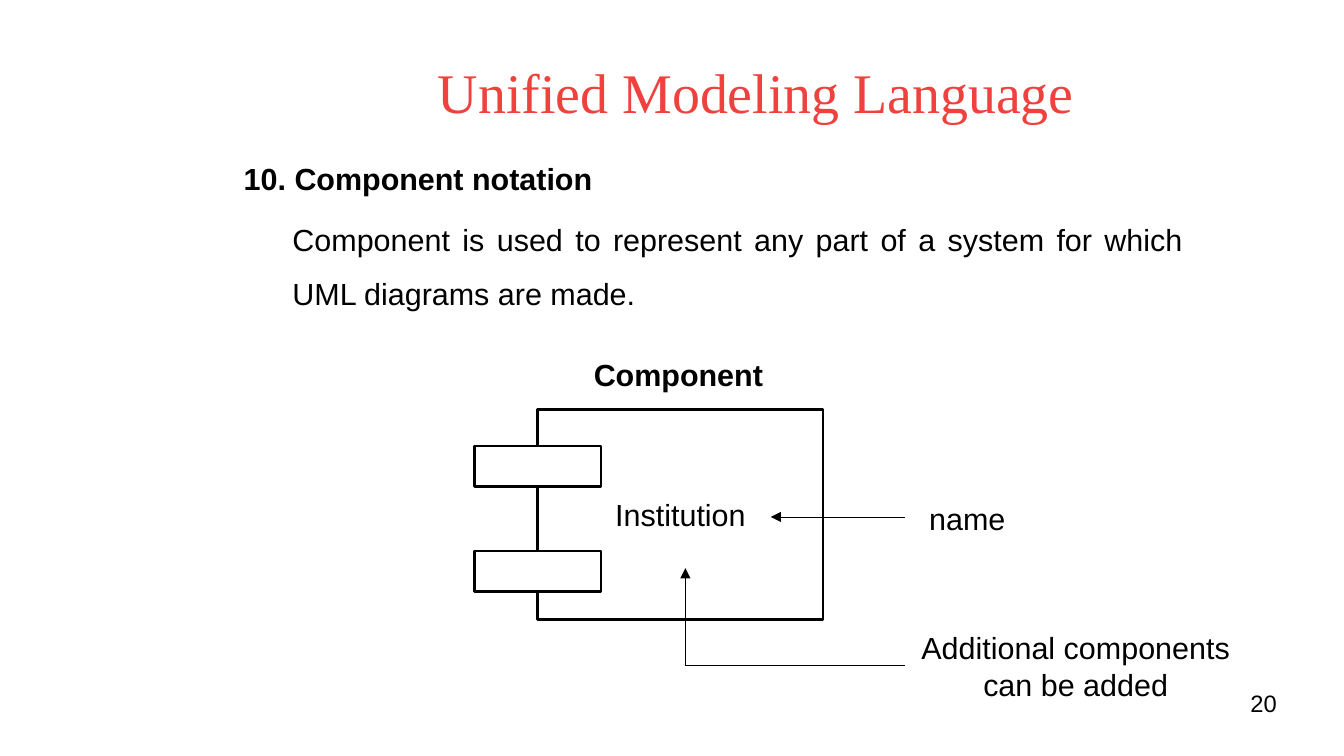
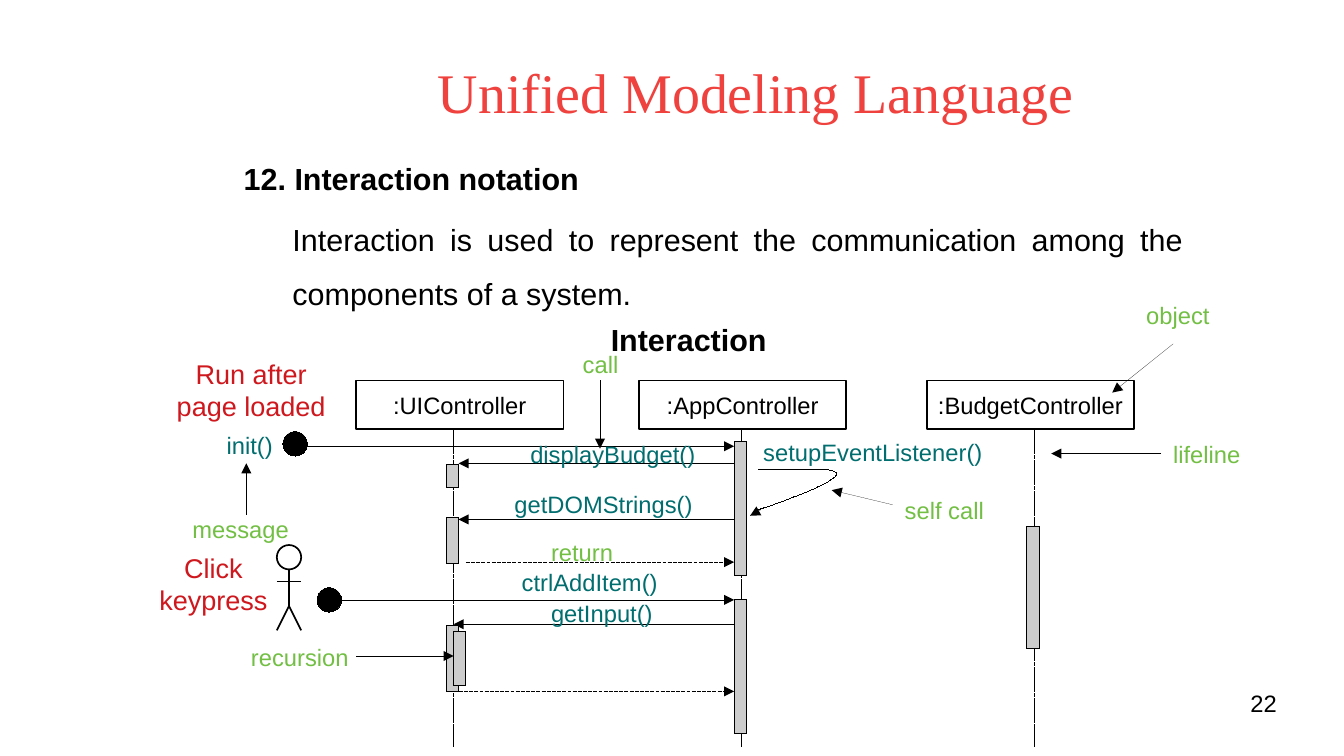
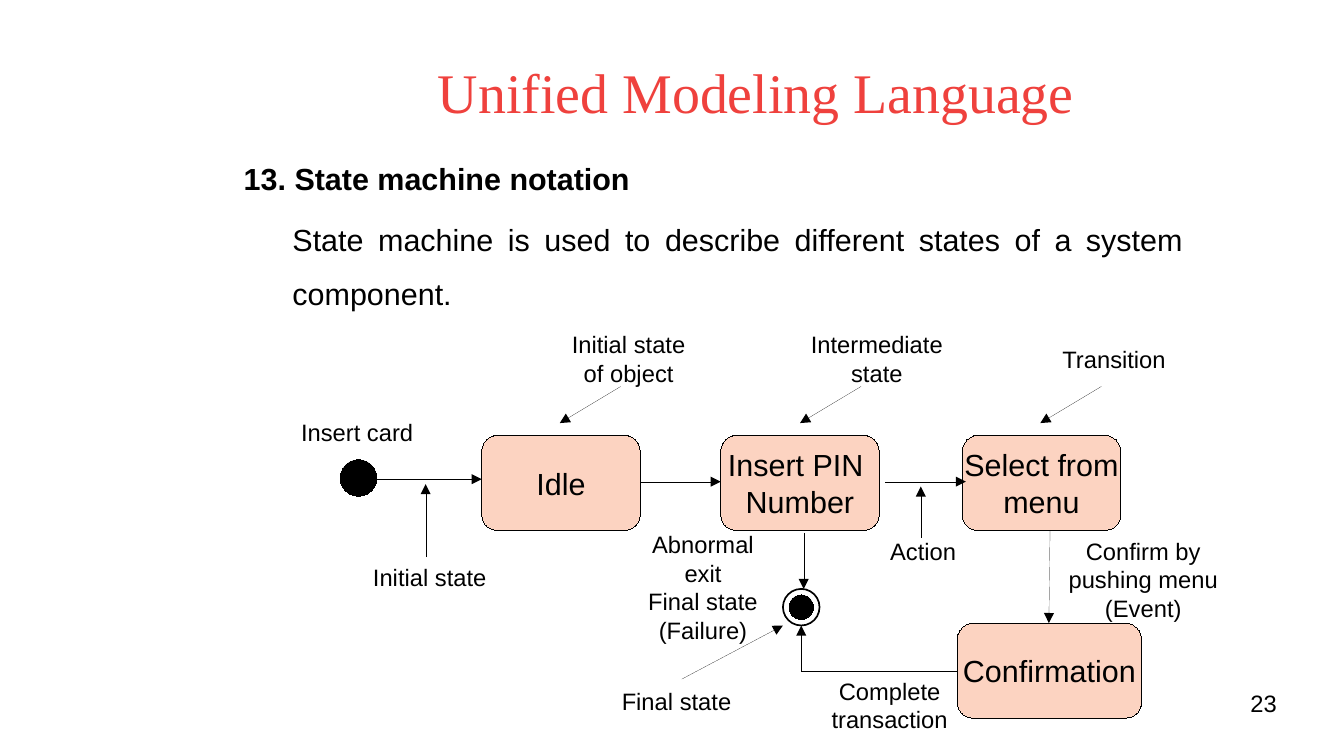
from dataclasses import dataclass

from lxml import etree
from pptx import Presentation
from pptx.dml.color import RGBColor
from pptx.enum.dml import MSO_LINE
from pptx.enum.shapes import MSO_CONNECTOR, MSO_SHAPE
from pptx.enum.text import MSO_ANCHOR, PP_ALIGN
from pptx.oxml.ns import qn
from pptx.util import Emu, Pt

# Shared constants
LEFT, CENTER = PP_ALIGN.LEFT, PP_ALIGN.CENTER
RIGHT, JUSTIFY = PP_ALIGN.RIGHT, PP_ALIGN.JUSTIFY
MIDDLE, TOP = MSO_ANCHOR.MIDDLE, MSO_ANCHOR.TOP
RECT, ELLIPSE, ROUNDED = MSO_SHAPE.RECTANGLE, MSO_SHAPE.OVAL, MSO_SHAPE.ROUNDED_RECTANGLE
STRAIGHT, ELBOW = MSO_CONNECTOR.STRAIGHT, MSO_CONNECTOR.ELBOW
DASH = MSO_LINE.SQUARE_DOT

BLACK, WHITE, GREY = "000000", "FFFFFF", "CCCCCC"
TITLE_RED, EVENT_RED = "EF413D", "CE181E"
GREEN, TEAL, PEACH = "72BF44", "006D6F", "FCD3C1"
BODY_FONT, TITLE_FONT = "Arial", "Times New Roman"
TITLE_ONLY = 5
EMU_PER_PX = 9144


@dataclass
class Label:
    text: str
    left: int
    top: int
    width: int
    height: int = 32
    size: int = 14
    color: str = BLACK
    align: int = LEFT
    bold: bool = False
    spacing: float = 1.0
    margins: tuple = (10, 5)


@dataclass
class Node:
    kind: int
    left: int
    top: int
    width: int
    height: int
    fill: str = WHITE
    line_width: float = 0
    text: str = ""
    size: int = 18


@dataclass
class Line:
    start: tuple
    end: tuple
    arrow: bool = True
    dashed: bool = False
    width: float = 0


def px(value: float) -> Emu:
    return Emu(round(value * EMU_PER_PX))


def rgb(value: str) -> RGBColor:
    return RGBColor.from_string(value)


# Drawing functions
def write_text(frame, text: str, size: int, color: str = BLACK, align=CENTER,
               font: str = BODY_FONT, bold: bool = False, spacing: float = 1.0,
               margins: tuple = (10, 5), anchor=MIDDLE, wrap: bool = True) -> None:
    frame.word_wrap = wrap
    frame.vertical_anchor = anchor
    frame.margin_left = frame.margin_right = px(margins[0])
    frame.margin_top = frame.margin_bottom = px(margins[1])
    frame.text = text
    for para in frame.paragraphs:
        para.alignment = align
        para.line_spacing = spacing
        para.font.name = font
        para.font.size = Pt(size)
        para.font.bold = bold
        para.font.color.rgb = rgb(color)


def set_outline(shape, width: float, dashed: bool = False, arrow: bool = False) -> None:
    shape.line.color.rgb = rgb(BLACK)
    if dashed:
        shape.line.dash_style = DASH
    outline = shape.element.spPr.find(qn("a:ln"))
    # A zero width (hairline) must be written out to override the theme.
    outline.set("w", str(int(Pt(width))))
    if arrow:
        etree.SubElement(outline, qn("a:tailEnd")).set("type", "triangle")


def add_label(page, label: Label) -> None:
    box = page.shapes.add_textbox(px(label.left), px(label.top),
                                  px(label.width), px(label.height))
    write_text(box.text_frame, label.text, label.size, label.color, label.align,
               bold=label.bold, spacing=label.spacing, margins=label.margins, anchor=TOP)


def add_node(page, node: Node) -> None:
    shape = page.shapes.add_shape(node.kind, px(node.left), px(node.top),
                                  px(node.width), px(node.height))
    shape.shadow.inherit = False
    shape.fill.solid()
    shape.fill.fore_color.rgb = rgb(node.fill)
    set_outline(shape, node.line_width)
    if node.text:
        write_text(shape.text_frame, node.text, node.size, wrap=False)


def add_line(page, line: Line, kind=STRAIGHT):
    connector = page.shapes.add_connector(kind, *map(px, line.start + line.end))
    set_outline(connector, line.width, line.dashed, line.arrow)
    etree.SubElement(connector.element.spPr, qn("a:effectLst"))
    return connector


def add_corner_arrow(page, start: tuple, end: tuple) -> None:
    """Run left from start, then up to end."""
    connector = add_line(page, Line(end, start), ELBOW)
    properties = connector.element.spPr
    properties.find(qn("a:xfrm")).set("rot", "10800000")
    properties.find(qn("a:prstGeom")).set("prst", "bentConnector2")


def add_curve(page, start: tuple, bend: tuple, controls: tuple, end: tuple) -> None:
    """Draw a straight run to bend, then a cubic curve to end."""
    steps = 24
    points = [bend]
    for step in range(1, steps + 1):
        t = step / steps
        weights = ((1 - t) ** 3, 3 * t * (1 - t) ** 2, 3 * t * t * (1 - t), t ** 3)
        corners = (bend, *controls, end)
        points.append(tuple(sum(w * corner[axis] for w, corner in zip(weights, corners))
                            for axis in (0, 1)))
    builder = page.shapes.build_freeform(px(start[0]), px(start[1]))
    builder.add_line_segments([(px(x), px(y)) for x, y in points], close=False)
    curve = builder.convert_to_shape()
    curve.shadow.inherit = False
    curve.fill.background()
    set_outline(curve, 0)


def draw_all(page, *items) -> None:
    painters = {Label: add_label, Node: add_node, Line: add_line}
    for item in items:
        painters[type(item)](page, item)


def start_page(deck, heading: str, description: str, number: int):
    page = deck.slides.add_slide(deck.slide_layouts[TITLE_ONLY])
    title = page.shapes.title
    title.left, title.top, title.width, title.height = map(px, (177, 24, 886, 102))
    write_text(title.text_frame, "Unified Modeling Language", 33, TITLE_RED,
               font=TITLE_FONT, margins=(0, 0))
    draw_all(
        page,
        Label(heading, 190, 126, 720, 66, 18, bold=True),
        Label(description, 230, 161, 750, 122, 18, align=JUSTIFY, spacing=1.5),
        Label(str(number), 790, 565, 257, 43, align=RIGHT, margins=(0, 0)),
    )
    return page


# Slides
def build_component(deck) -> None:
    page = start_page(
        deck, "10. Component notation",
        "Component is used to represent any part of a system for which "
        "UML diagrams are made.", 20)
    draw_all(
        page,
        Label("Component", 477, 287, 199, 66, 18, bold=True),
        Node(RECT, 441, 336, 234, 172, line_width=1.5, text="Institution"),
        *(Node(RECT, 389, top, 104, 33, line_width=1.5) for top in (366, 452)),
        Line((742, 424), (632, 424)),
        Label("name", 752, 405, 140, 38, 18),
        Line((562, 546), (562, 466)),
        Line((562, 546), (742, 546), arrow=False),
        Label("Additional components can be added", 742, 511, 280, 122, 18, align=CENTER),
    )


def build_interaction(deck) -> None:
    page = start_page(
        deck, "12. Interaction notation",
        "Interaction is used to represent the communication among the "
        "components of a system.", 22)
    add_label(page, Label("Interaction", 491, 258, 199, 66, 18, bold=True))

    # Objects and lifelines
    for name, left, axis in ((":UIController", 292, 372), (":AppController", 524, 608),
                             (":BudgetController", 760, 848)):
        draw_all(page, Node(RECT, left, 312, 170, 40, line_width=1, text=name, size=14),
                 Line((axis, 352), (axis, 612), arrow=False, dashed=True))

    # Messages: start x, end x, y, dashed
    for start, end, y, dashed in (
            (242, 602, 366, False), (602, 376, 380, False), (602, 376, 426, False),
            (382, 602, 461, True), (270, 602, 492, False), (602, 372, 512, False),
            (372, 602, 567, True)):
        add_line(page, Line((start, y), (end, y), dashed=dashed))

    # Activation bars
    for left, top, height in ((366, 381, 19), (366, 424, 38), (602, 362, 110),
                              (602, 492, 110), (842, 432, 100), (366, 513, 54),
                              (372, 518, 44)):
        add_node(page, Node(RECT, left, top, 10, height, GREY))

    # Self call
    add_curve(page, (622, 385), (672, 385), ((722, 385), (622, 418)), (622, 418))
    add_line(page, Line((624, 418), (615, 423)))

    # Explanatory arrows
    for start, end in (((962, 282), (912, 322)), ((202, 422), (202, 380)),
                       ((492, 312), (492, 368)), ((952, 372), (862, 372)),
                       ((732, 414), (682, 402)), ((292, 538), (372, 538))):
        add_line(page, Line(start, end))

    # Message names and explanations
    for color, labels in (
            (TEAL, (("init()", 176, 348, 80), ("setupEventListener()", 616, 354, 250),
                    ("displayBudget()", 425, 356, 190), ("getDOMStrings()", 412, 397, 190),
                    ("ctrlAddItem()", 418, 461, 190), ("getInput()", 442, 486, 190))),
            (GREEN, (("object", 930, 242, 120), ("call", 468, 282, 60),
                     ("message", 148, 417, 110), ("lifeline", 952, 356, 120),
                     ("return", 442, 436, 120), ("self call", 732, 402, 120),
                     ("recursion", 196, 522, 110)))):
        for text, left, top, width in labels:
            add_label(page, Label(text, left, top, width, color=color))

    # Events and actor
    draw_all(
        page,
        Label("Run after page loaded", 126, 288, 160, 74, 16, EVENT_RED, CENTER),
        Label("Click keypress", 110, 447, 130, 59, 16, EVENT_RED, CENTER),
        Node(ELLIPSE, 232, 354, 20, 20, BLACK),
        Node(ELLIPSE, 260, 482, 20, 20, BLACK),
        Node(ELLIPSE, 227, 447, 20, 20, line_width=1),
    )
    for start, end in (((237, 467), (237, 497)), ((237, 497), (227, 517)),
                       ((237, 497), (247, 517)), ((227, 477), (247, 477))):
        add_line(page, Line(start, end, arrow=False, width=1))


def build_state_machine(deck) -> None:
    page = start_page(
        deck, "13. State machine notation",
        "State machine is used to describe different states of a system component.", 23)

    # States, with the start and end markers
    for text, left, top, width in (
            ("Idle", 395, 357, 130), ("Insert PIN \nNumber", 591, 357, 130),
            ("Select from\nmenu", 789, 357, 130), ("Confirmation", 785, 511, 151)):
        add_node(page, Node(ROUNDED, left, top, width, 78, PEACH, text=text))
    draw_all(page, Node(ELLIPSE, 279, 377, 30, 30, BLACK),
             Node(ELLIPSE, 642, 483, 30, 30, line_width=1),
             Node(ELLIPSE, 647, 488, 20, 20, BLACK))

    # Transitions and pointers
    for start, end in (
            ((309, 393), (395, 393)), ((525, 395), (591, 395)), ((726, 395), (792, 395)),
            ((861, 435), (860, 511)), ((659, 437), (659, 483)), ((349, 457), (349, 397)),
            ((755, 441), (755, 399)), ((559, 557), (642, 513)),
            *(((x, 317), (x - 50, 347)) for x in (509, 706, 903))):
        add_line(page, Line(start, end))
    add_corner_arrow(page, (785, 550), (657, 513))

    # Captions
    for text, left, top, width, height in (
            ("Initial state\nof object", 459, 266, 113, 54),
            ("Intermediate state", 648, 266, 142, 54),
            ("Transition", 857, 278, 113, 32),
            ("Confirm by pushing menu\n(Event)", 861, 435, 153, 97),
            ("Abnormal\nexit\nFinal state\n(Failure)", 520, 430, 113, 97),
            ("Complete transaction", 662, 550, 135, 54)):
        add_label(page, Label(text, left, top, width, height, align=CENTER))
    for text, left, top in (("Action", 720, 435), ("Initial state", 296, 457),
                            ("Final state", 500, 558), ("Insert card", 237, 338)):
        add_label(page, Label(text, left, top, 120))


def main() -> None:
    deck = Presentation()
    deck.slide_width, deck.slide_height = px(1102), px(620)
    build_component(deck)
    build_interaction(deck)
    build_state_machine(deck)
    deck.save("out.pptx")


if __name__ == "__main__":
    main()
